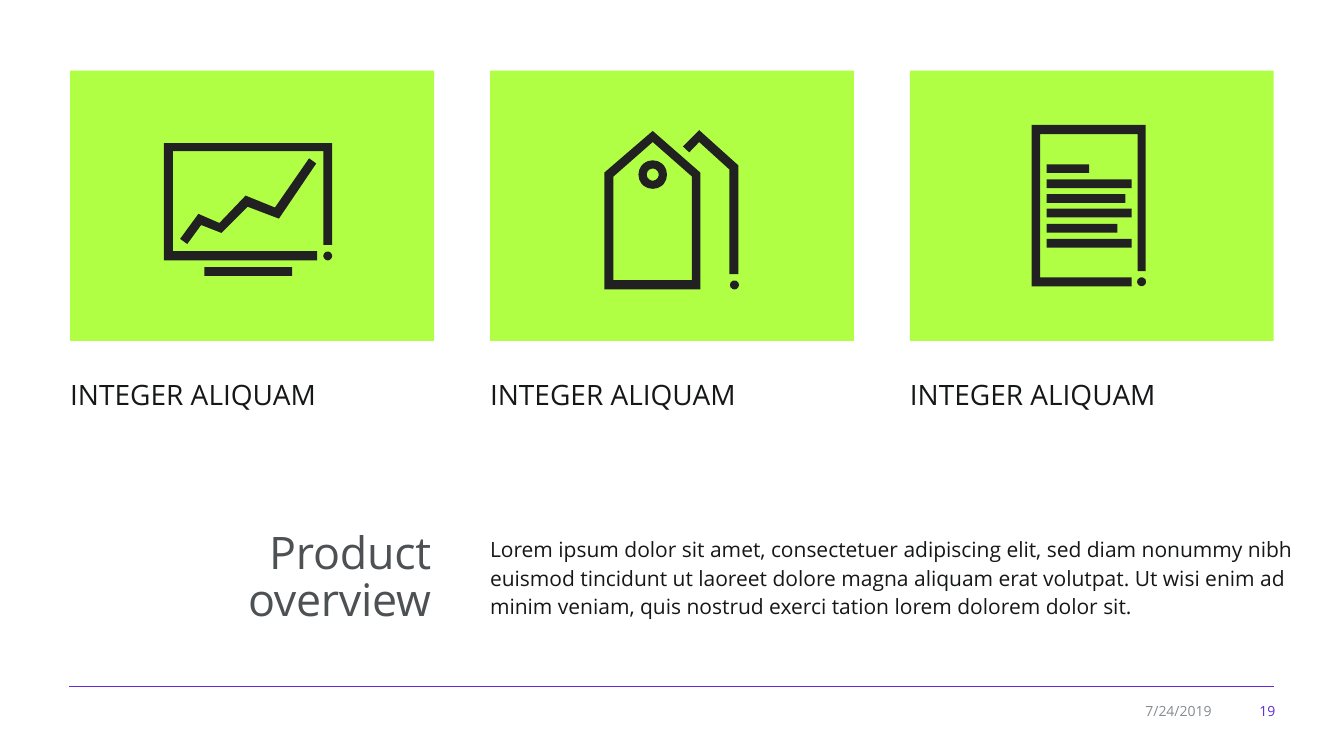
import math
from dataclasses import dataclass

from lxml import etree
from pptx import Presentation
from pptx.dml.color import RGBColor
from pptx.enum import shapes as kinds, text as styles
from pptx.oxml import ns
from pptx.util import Cm, Pt

FONT = "Open Sans"
INK, LIME, PURPLE = "161718", "B0FF45", "622AD8"
LEFT, RIGHT = styles.PP_ALIGN.LEFT, styles.PP_ALIGN.RIGHT
MIDDLE, TOP = styles.MSO_ANCHOR.MIDDLE, styles.MSO_ANCHOR.TOP

# Panel grid in centimetres; icon outlines in hundredths from the panel corner
PANEL_LEFT, PANEL_TOP, PANEL_STEP = 1.77, 1.78, 10.58
PANEL_WIDTH, PANEL_HEIGHT = 9.17, 6.81
INSET = 0.25

Outline = list[tuple[float, float]]


@dataclass
class Panel:
    caption: str
    icon: list[Outline]


@dataclass
class Label:
    wording: str
    left: float
    top: float
    width: float
    height: float
    size: float
    color: str = INK
    align: styles.PP_ALIGN = LEFT
    anchor: styles.MSO_ANCHOR = TOP
    wrap: bool = True
    spacing: float = 1.0


def rgb(color: str) -> RGBColor:
    return RGBColor.from_string(color)


def bar(left: float, top: float, width: float, height: float = 22) -> Outline:
    right, bottom = left + width, top + height
    return [(left, top), (right, top), (right, bottom), (left, bottom)]


def circle(x: float, y: float, radius: float, turn: int = 1) -> Outline:
    angles = [turn * math.tau * step / 36 for step in range(36)]
    return [(x + radius * math.cos(a), y + radius * math.sin(a)) for a in angles]


def paint(shape, color: str) -> None:
    shape.shadow.inherit = False
    shape.fill.solid()
    shape.fill.fore_color.rgb = rgb(color)
    shape.line.fill.background()


def write(box, label: Label) -> None:
    box.left, box.top = Cm(label.left), Cm(label.top)
    box.width, box.height = Cm(label.width), Cm(label.height)
    frame = box.text_frame
    frame.text = label.wording
    frame.word_wrap = label.wrap
    frame.vertical_anchor = label.anchor
    paragraph = frame.paragraphs[0]
    paragraph.alignment = label.align
    paragraph.line_spacing = label.spacing
    paragraph.font.name = FONT
    paragraph.font.size = Pt(label.size)
    paragraph.font.color.rgb = rgb(label.color)


def add_label(slide, label: Label) -> None:
    write(slide.shapes.add_textbox(0, 0, 0, 0), label)


def add_panel(slide, panel: Panel, left: float) -> None:
    group = slide.shapes.add_group_shape()
    tile = group.shapes.add_shape(
        kinds.MSO_SHAPE.RECTANGLE, Cm(left), Cm(PANEL_TOP), Cm(PANEL_WIDTH), Cm(PANEL_HEIGHT))
    paint(tile, LIME)
    first, *others = panel.icon
    builder = group.shapes.build_freeform(*first[0], scale=Cm(0.01))
    builder.add_line_segments(first[1:])
    for outline in others:
        builder.move_to(*outline[0])
        builder.add_line_segments(outline[1:])
    paint(builder.convert_to_shape(Cm(left), Cm(PANEL_TOP)), "212121")
    add_label(slide, Label(panel.caption, left - INSET, 9.4, 6.93, 1.12, 20, wrap=False))


# Icons
MONITOR = [
    [(259, 455), (622, 455), (622, 478), (236, 478), (236, 183),
     (660, 183), (660, 439), (638, 439), (638, 203), (259, 203)],
    bar(338, 495, 221),
    [(442, 315), (376, 384), (323, 361), (277, 424), (295, 437), (330, 389),
     (381, 409), (447, 343), (526, 373), (620, 234), (602, 221), (516, 345)],
    circle(649, 467, 11),
]
PRICE_TAGS = [
    [(288, 257), (288, 551), (530, 551), (530, 257), (410, 152)],
    [(509, 528), (509, 267), (410, 180), (311, 267), (311, 528)],
    circle(410, 262, 36),
    circle(410, 262, 15, turn=-1),
    [(603, 513), (603, 249), (527, 180), (502, 206), (486, 191),
     (527, 150), (626, 239), (626, 513)],
    circle(616, 540, 11),
]
TEXT_LINE_WIDTHS = [107, 214, 198, 214, 178, 214]
DOCUMENT = [
    [(594, 137), (594, 505), (574, 505), (574, 160), (328, 160),
     (328, 521), (559, 521), (559, 544), (307, 544), (307, 137)],
    *[bar(345, 236 + 37.5 * row, width) for row, width in enumerate(TEXT_LINE_WIDTHS)],
    circle(584, 532, 11),
]
PANELS = [Panel("INTEGER ALIQUAM", icon) for icon in (MONITOR, PRICE_TAGS, DOCUMENT)]

OVERVIEW = (
    "Lorem ipsum dolor sit amet, consectetuer adipiscing elit, sed diam nonummy nibh "
    "euismod tincidunt ut laoreet dolore magna aliquam erat volutpat. Ut wisi enim ad "
    "minim veniam, quis nostrud exerci tation lorem dolorem dolor sit."
)
LABELS = [
    Label(OVERVIEW, 12.1, 13.31, 21, 2.44, 15, spacing=1.14),
    Label("19", 31.09, 17.58, 1.3, 0.66, 10, PURPLE, RIGHT, MIDDLE),
    Label("7/24/2019", 28.37, 17.58, 2.41, 0.66, 10, "868B90", RIGHT, MIDDLE),
]


def main() -> None:
    deck = Presentation()
    deck.slide_width, deck.slide_height = Cm(33.87), Cm(19.05)
    slide = deck.slides.add_slide(deck.slide_layouts[5])

    # Footer rule
    rule = slide.shapes.add_connector(
        kinds.MSO_CONNECTOR.STRAIGHT, Cm(1.74), Cm(17.3), Cm(32.11), Cm(17.3))
    rule.line.color.rgb = rgb(PURPLE)
    rule.line.width = Pt(0.75)
    etree.SubElement(rule._element.spPr, ns.qn("a:effectLst"))

    # Title
    write(slide.shapes.title, Label("Product\voverview", 1.24, 13.06, 9.88, 3.07, 32,
                                    "4D5154", RIGHT, MIDDLE, spacing=0.87))
    for run in slide.shapes.title.text_frame.paragraphs[0].runs:
        run.font._element.set("spc", "-20")

    # Panels, body text and footer
    for column, panel in enumerate(PANELS):
        add_panel(slide, panel, PANEL_LEFT + column * PANEL_STEP)
    for label in LABELS:
        add_label(slide, label)

    deck.save("out.pptx")


if __name__ == "__main__":
    main()
